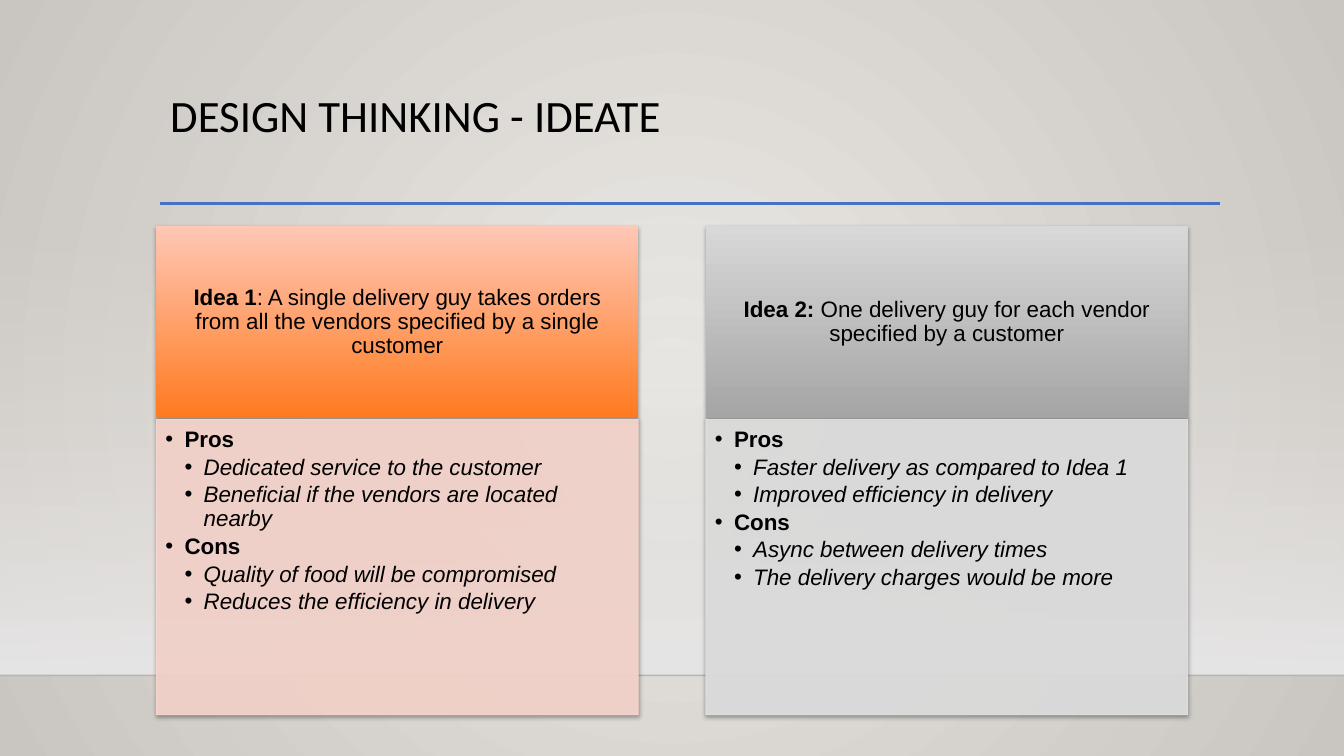
import pptx
import pptx.dml.color
import pptx.enum.shapes
import pptx.enum.text
import pptx.oxml
import pptx.oxml.ns
import pptx.util

Inches = pptx.util.Inches
Pt = pptx.util.Pt
qn = pptx.oxml.ns.qn
ANCHOR = pptx.enum.text.MSO_ANCHOR
ALIGN = pptx.enum.text.PP_ALIGN
RECTANGLE = pptx.enum.shapes.MSO_SHAPE.RECTANGLE

TITLE = "DESIGN THINKING - IDEATE"
IDEAS = [
    {
        "label": "Idea 1",
        "summary": ": A single delivery guy takes orders from all the vendors specified by a single customer",
        "points": {
            "Pros": ["Dedicated service to the customer", "Beneficial if the vendors are located nearby"],
            "Cons": ["Quality of food will be compromised", "Reduces the efficiency in delivery"],
        },
        "header": ("FF7A1F", "FFC7B6"),
        "body": "F8D7CE",
    },
    {
        "label": "Idea 2:",
        "summary": " One delivery guy for each vendor specified by a customer",
        "points": {
            "Pros": ["Faster delivery as compared to Idea 1", "Improved efficiency in delivery"],
            "Cons": ["Async between delivery times", "The delivery charges would be more"],
        },
        "header": ("A5A5A5", "D8D8D8"),
        "body": "E1E1E1",
    },
]

SLIDE_WIDTH, SLIDE_HEIGHT = 13.33, 7.5
FLOOR_TOP, FLOOR_LINE = 2.21, 6.7
CARD_LEFT, CARD_STEP, CARD_WIDTH = 1.55, 5.45, 4.78
HEADER_TOP, HEADER_HEIGHT = 2.24, 1.91
BODY_TOP, BODY_HEIGHT = 4.16, 2.93
BULLET_INDENT = 0.19


def color(value):
    return pptx.dml.color.RGBColor.from_string(value)


def make(tag, inner="", **attributes):
    listed = "".join(f' {name}="{value}"' for name, value in attributes.items())
    return pptx.oxml.parse_xml(f"<a:{tag} {pptx.oxml.ns.nsdecls('a')}{listed}>{inner}</a:{tag}>")


def set_gradient(element, start, end, direction, start_alpha=100):
    solid = element.find(".//" + qn("a:solidFill"))
    stops = (
        f'<a:gs pos="0"><a:srgbClr val="{start}"><a:alpha val="{start_alpha * 1000}"/></a:srgbClr></a:gs>'
        f'<a:gs pos="100000"><a:srgbClr val="{end}"/></a:gs>'
    )
    gradient = make("gradFill", f"<a:gsLst>{stops}</a:gsLst>{direction}", rotWithShape=1)
    solid.getparent().replace(solid, gradient)


def linear(degrees):
    return f'<a:lin ang="{degrees * 60000}" scaled="0"/>'


def set_alpha(element, percent):
    for tint in element.spPr.iter(qn("a:srgbClr")):
        tint.append(make("alpha", val=percent * 1000))


def add_shadow(shape):
    shadow = (
        f'<a:outerShdw blurRad="{Pt(3.1)}" dist="{Pt(1.8)}" dir="5400000" rotWithShape="0">'
        '<a:srgbClr val="000000"><a:alpha val="35000"/></a:srgbClr></a:outerShdw>'
    )
    shape.element.spPr.find(qn("a:effectLst")).append(make("outerShdw_holder", shadow)[0])


def add_box(page, left, top, width, height, fill, line=None):
    box = page.shapes.add_shape(RECTANGLE, Inches(left), Inches(top), Inches(width), Inches(height))
    box.shadow.inherit = False
    box.fill.solid()
    box.fill.fore_color.rgb = color(fill)
    if line:
        box.line.color.rgb = color(line)
        box.line.width = Pt(0.75)
    else:
        box.line.fill.background()
    return box


def add_rule(page, left, right, top, line, width):
    rule = page.shapes.add_connector(
        pptx.enum.shapes.MSO_CONNECTOR.STRAIGHT, Inches(left), Inches(top), Inches(right), Inches(top)
    )
    rule.line.color.rgb = color(line)
    rule.line.width = Pt(width)
    rule.element.spPr.append(make("effectLst"))
    return rule


def set_frame(box, insets, anchor=ANCHOR.TOP):
    frame = box.text_frame
    frame.word_wrap = True
    frame.vertical_anchor = anchor
    frame.margin_left, frame.margin_top, frame.margin_right, frame.margin_bottom = map(Inches, insets)
    return frame


def format_para(para, align=ALIGN.LEFT, after=0, level=None):
    para.alignment = align
    para.line_spacing = 0.9
    para.space_after = Pt(after)
    if level is not None:
        para.level = level
        properties = para._p.get_or_add_pPr()
        properties.set("marL", str(Inches(BULLET_INDENT * (level + 1))))
        properties.set("indent", str(-Inches(BULLET_INDENT)))
        properties.append(make("buClr", '<a:srgbClr val="000000"/>'))
        properties.append(make("buFont", typeface="Arial"))
        properties.append(make("buChar", char="•"))


def add_text(para, text, font="Arial", size=16, bold=False, italic=False):
    span = para.add_run()
    span.text = text
    span.font.name = font
    span.font.size = Pt(size)
    span.font.bold = bold
    span.font.italic = italic
    span.font.color.rgb = color("000000")


def add_card(page, left, idea):
    header = add_box(page, left, HEADER_TOP, CARD_WIDTH, HEADER_HEIGHT, idea["header"][0])
    set_gradient(header.element, *idea["header"], linear(270))
    add_shadow(header)
    para = set_frame(header, (0.12, 0.07, 0.12, 0.07), ANCHOR.MIDDLE).paragraphs[0]
    format_para(para, align=ALIGN.CENTER)
    add_text(para, idea["label"], bold=True)
    add_text(para, idea["summary"])

    body = add_box(page, left, BODY_TOP, CARD_WIDTH, BODY_HEIGHT, idea["body"], line=idea["body"])
    set_alpha(body.element, 90)
    add_shadow(body)
    frame = set_frame(body, (0.09, 0.09, 0.12, 0.14))
    rows = []
    for heading, details in idea["points"].items():
        rows += [(heading, 0)] + [(detail, 1) for detail in details]
    for index, (text, level) in enumerate(rows):
        para = frame.add_paragraph() if index else frame.paragraphs[0]
        format_para(para, after=2.4, level=level)
        add_text(para, text, bold=level == 0, italic=level == 1)


def main():
    deck = pptx.Presentation()
    deck.slide_width, deck.slide_height = Inches(SLIDE_WIDTH), Inches(SLIDE_HEIGHT)
    page = deck.slides.add_slide(deck.slide_layouts[6])

    page.background.fill.solid()
    page.background.fill.fore_color.rgb = color("EBE9E6")
    circle = '<a:path path="circle"><a:fillToRect l="50000" t="50000" r="50000" b="50000"/></a:path>'
    set_gradient(page.element, "EBE9E6", "C9C5C0", circle)

    floor = add_box(page, 0, FLOOR_TOP, SLIDE_WIDTH, FLOOR_LINE - FLOOR_TOP, "DFDBD5")
    set_gradient(floor.element, "DFDBD5", "E7E6E6", linear(90), start_alpha=0)
    set_alpha(add_rule(page, 0, SLIDE_WIDTH, FLOOR_LINE, "000001", 1).element, 20)
    add_rule(page, 1.59, 12.1, 2.02, "4472C4", 2.5)

    title = page.shapes.add_textbox(Inches(1.59), Inches(0.88), Inches(10.5), Inches(1.15))
    para = set_frame(title, (0.1, 0.05, 0.1, 0.05)).paragraphs[0]
    format_para(para)
    add_text(para, TITLE, font="Calibri", size=32)

    for index, idea in enumerate(IDEAS):
        add_card(page, CARD_LEFT + index * CARD_STEP, idea)

    deck.save("out.pptx")


if __name__ == "__main__":
    main()
